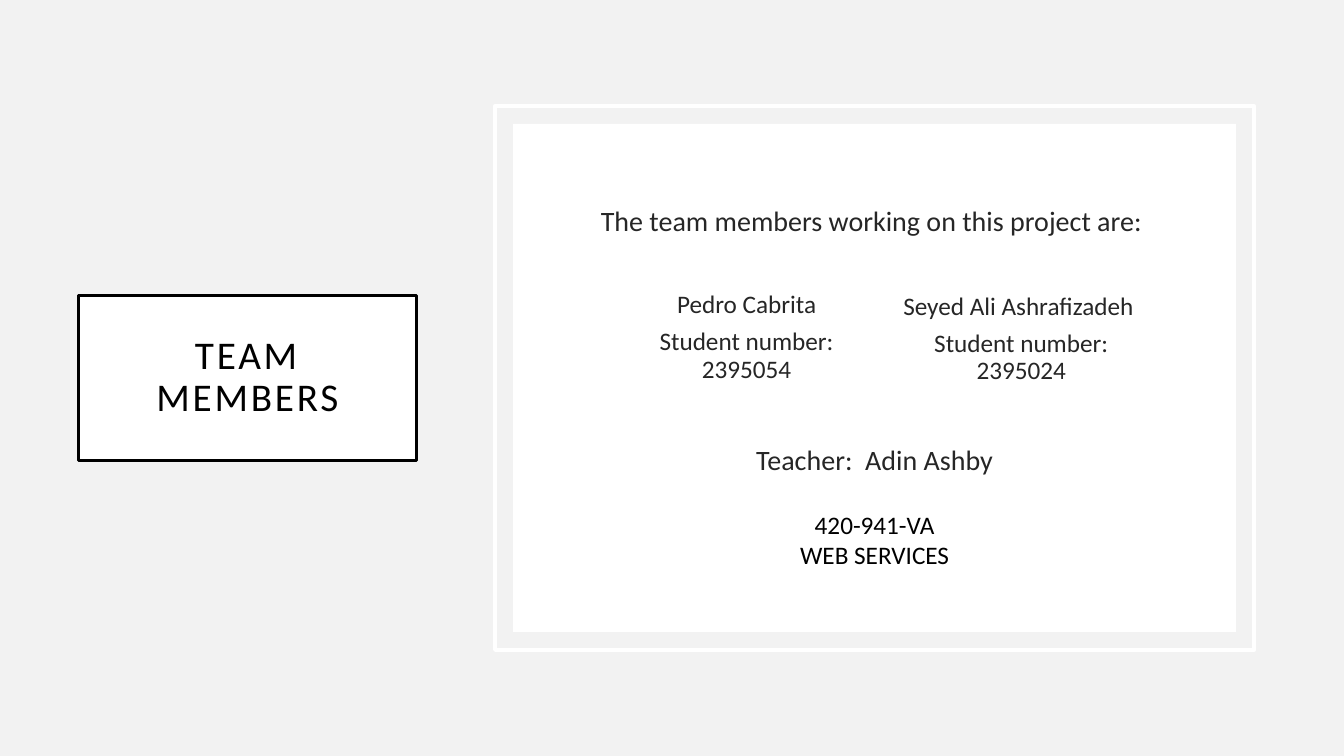
from dataclasses import dataclass

from pptx import Presentation
from pptx.dml.color import RGBColor
from pptx.enum.shapes import MSO_SHAPE
from pptx.enum.text import MSO_ANCHOR, PP_ALIGN
from pptx.util import Inches, Pt

RECTANGLE = MSO_SHAPE.RECTANGLE
CENTER = PP_ALIGN.CENTER
MIDDLE = MSO_ANCHOR.MIDDLE


@dataclass(frozen=True)
class Theme:
    font: str = "Calibri"
    backdrop: str = "F2F2F2"
    paper: str = "FFFFFF"
    ink: str = "000000"
    body: str = "262626"
    title_size: int = 28
    lead_size: int = 20
    detail_size: int = 18
    border: float = 2.5
    tracking: int = 200


THEME = Theme()
WIDTH, HEIGHT = 13.33, 7.5

# Content; all positions and sizes are percentages of the slide.
TITLE = "TEAM MEMBERS"
LINES = [  # text, top, size, colour
    ("The team members working on this project are: ", 26.27, THEME.lead_size, THEME.body),
    ("Teacher:  Adin Ashby", 57.87, THEME.lead_size, THEME.body),
    ("420-941-VA", 66.67, THEME.detail_size, THEME.ink),
    ("WEB SERVICES", 70.67, THEME.detail_size, THEME.ink),
]
MEMBERS = [  # name, student number, left, top, width
    ("Pedro Cabrita", "2395054", 47.34, 37.87, 16.43),
    ("Seyed Ali Ashrafizadeh ", "2395024", 66.09, 38.13, 19.8),
]
TITLE_LEFT, TITLE_WIDTH, TITLE_HEIGHT = 5.85, 25.13, 21.87
FRAME_LEFT, FRAME_WIDTH, FRAME_HEIGHT = 36.83, 56.49, 72
LINE_WIDTH, LINE_HEIGHT, MEMBER_HEIGHT = 48.31, 4.4, 13
PANEL_GAP = 0.18  # inches between frame and panel


def box(left, top, width, height):
    """Turn shares of the slide into lengths."""
    return (Inches(left * WIDTH / 100), Inches(top * HEIGHT / 100),
            Inches(width * WIDTH / 100), Inches(height * HEIGHT / 100))


def middle_box(left, width, height):
    return box(left, (100 - height) / 2, width, height)


def add_rectangle(slide, bounds, fill=None, line=None):
    shape = slide.shapes.add_shape(RECTANGLE, *bounds)
    shape.shadow.inherit = False
    if fill:
        shape.fill.solid()
        shape.fill.fore_color.rgb = RGBColor.from_string(fill)
    else:
        shape.fill.background()
    if line:
        shape.line.color.rgb = RGBColor.from_string(line)
        shape.line.width = Pt(THEME.border)
    else:
        shape.line.fill.background()
    return shape


def write(frame, texts, size, color, line_spacing=1.0, space_before=0):
    """Fill a text frame with one centred paragraph per text."""
    frame.word_wrap = True
    for index, text in enumerate(texts):
        paragraph = frame.add_paragraph() if index else frame.paragraphs[0]
        paragraph.alignment = CENTER
        paragraph.line_spacing = line_spacing
        paragraph.space_before = Pt(space_before if index else 0)
        run = paragraph.add_run()
        run.text = text
        run.font.name = THEME.font
        run.font.size = Pt(size)
        run.font.color.rgb = RGBColor.from_string(color)


def add_title(slide):
    bounds = middle_box(TITLE_LEFT, TITLE_WIDTH, TITLE_HEIGHT)
    frame = add_rectangle(slide, bounds, THEME.paper, THEME.ink).text_frame
    frame.margin_left = frame.margin_right = Inches(0.3)
    frame.vertical_anchor = MIDDLE
    write(frame, [TITLE], THEME.title_size, THEME.ink, line_spacing=0.9)
    run = frame.paragraphs[0].runs[0]
    run.font._element.set("spc", str(THEME.tracking))


def add_panel(slide):
    left, top, width, height = middle_box(FRAME_LEFT, FRAME_WIDTH, FRAME_HEIGHT)
    add_rectangle(slide, (left, top, width, height), line=THEME.paper)
    gap = Inches(PANEL_GAP)
    inner = (left + gap, top + gap, width - 2 * gap, height - 2 * gap)
    add_rectangle(slide, inner, THEME.paper)


def add_panel_text(slide):
    line_left = FRAME_LEFT + (FRAME_WIDTH - LINE_WIDTH) / 2
    for text, top, size, color in LINES:
        textbox = slide.shapes.add_textbox(*box(line_left, top, LINE_WIDTH, LINE_HEIGHT))
        write(textbox.text_frame, [text], size, color)
    for name, number, left, top, width in MEMBERS:
        textbox = slide.shapes.add_textbox(*box(left, top, width, MEMBER_HEIGHT))
        write(textbox.text_frame, [name, f"Student number: {number}"],
              THEME.detail_size, THEME.body, line_spacing=0.9, space_before=7.5)


def main():
    presentation = Presentation()
    presentation.slide_width = Inches(WIDTH)
    presentation.slide_height = Inches(HEIGHT)
    slide = presentation.slides.add_slide(presentation.slide_layouts[6])
    slide.background.fill.solid()
    slide.background.fill.fore_color.rgb = RGBColor.from_string(THEME.backdrop)
    add_title(slide)
    add_panel(slide)
    add_panel_text(slide)
    presentation.save("out.pptx")


if __name__ == "__main__":
    main()
